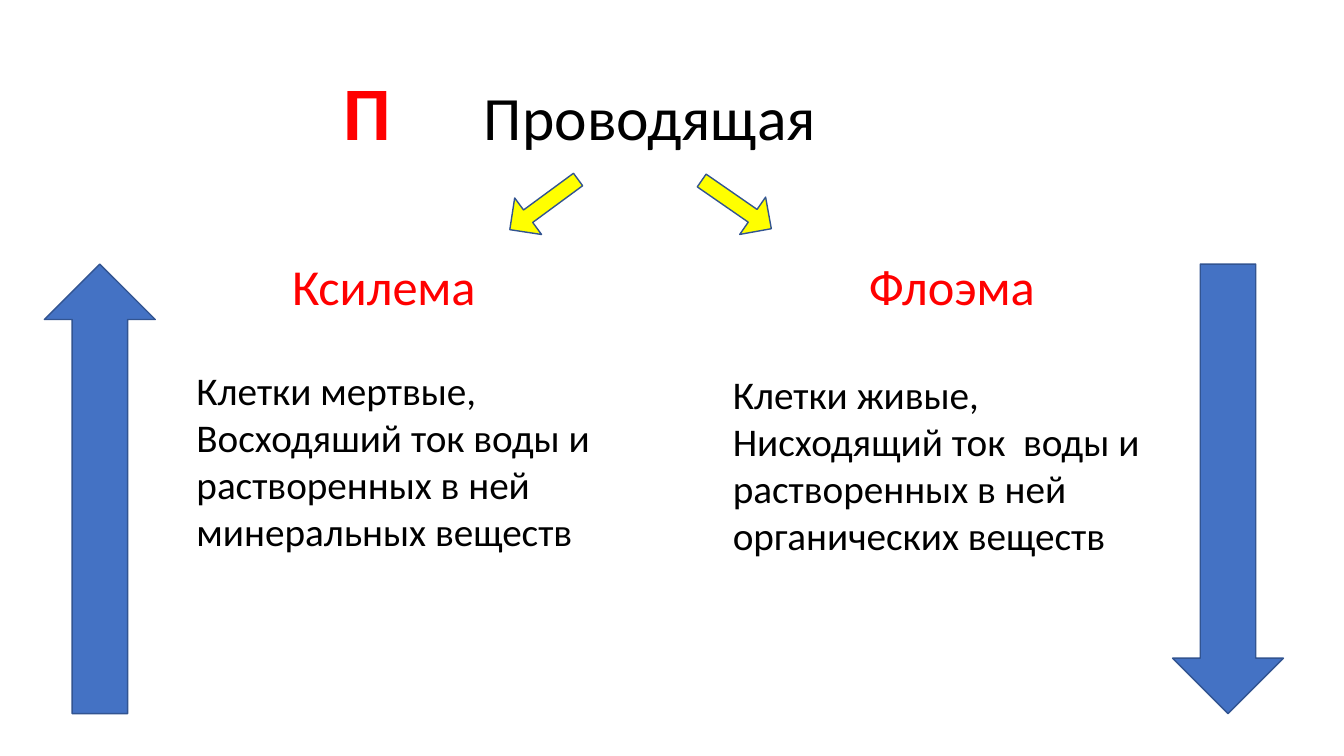
from lxml import etree
from pptx import Presentation
from pptx.dml.color import RGBColor
from pptx.enum import shapes, text
from pptx.oxml.ns import qn
from pptx.util import Inches, Pt

RED = RGBColor(0xFF, 0x00, 0x00)
BLACK = RGBColor(0x00, 0x00, 0x00)
YELLOW = RGBColor(0xFF, 0xFF, 0x00)
BLUE = RGBColor(0x44, 0x72, 0xC4)
OUTLINE = RGBColor(0x32, 0x54, 0x91)


def style(font, size, color, bold=False):
    font.name = "Calibri"
    font.size = Pt(size)
    font.color.rgb = color
    font.bold = bold


prs = Presentation()
prs.slide_width = Inches(13.33)
prs.slide_height = Inches(7.5)
slide = prs.slides.add_slide(prs.slide_layouts[5])

# Heading: a tab stop separates the initial from the tissue name
heading = slide.shapes.title
heading.left, heading.top = Inches(3.31), Inches(0.59)
heading.width, heading.height = Inches(5.21), Inches(1.01)
frame = heading.text_frame
frame.word_wrap = True
frame.auto_size = text.MSO_AUTO_SIZE.NONE
frame.vertical_anchor = text.MSO_ANCHOR.TOP
line = frame.paragraphs[0]
line.alignment = text.PP_ALIGN.LEFT
tabs = etree.SubElement(line._p.get_or_add_pPr(), qn("a:tabLst"))
etree.SubElement(tabs, qn("a:tab"), pos=str(Inches(1.39)), algn="l")
for words, size, color, bold in [("П", 54, RED, True),
                                 ("\tПроводящая", 44, BLACK, False)]:
    run = line.add_run()
    run.text = words
    style(run.font, size, color, bold)

# Tissue names and their descriptions
for words, left, top, width, height, size, color in [
    ("Ксилема", 2.8, 2.48, 2.8, 0.71, 36, RED),
    ("Флоэма", 8.52, 2.48, 2.8, 0.71, 36, RED),
    ("Клетки мертвые, Восходяший ток воды и растворенных в ней "
     "минеральных веществ", 1.85, 3.58, 4.32, 1.99, 28, BLACK),
    ("Клетки живые, Нисходящий ток  воды и растворенных в ней "
     "органических веществ", 7.17, 3.62, 4.32, 1.99, 28, BLACK),
]:
    label = slide.shapes.add_textbox(
        Inches(left), Inches(top), Inches(width), Inches(height))
    label.text_frame.word_wrap = True
    label.text_frame.text = words
    style(label.text_frame.paragraphs[0].runs[0].font, size, color)

# Branch arrows under the heading, flow arrows at the sides
for left, top, width, height, rotation, shaft, color in [
    (5.17, 1.61, 0.45, 0.84, 53.7, 0.342, YELLOW),
    (7.08, 1.61, 0.45, 0.84, 304.7, 0.342, YELLOW),
    (0.44, 2.62, 1.1, 4.46, 180, 0.5, BLUE),
    (11.63, 2.62, 1.1, 4.46, 0, 0.5, BLUE),
]:
    arrow = slide.shapes.add_shape(
        shapes.MSO_SHAPE.DOWN_ARROW,
        Inches(left), Inches(top), Inches(width), Inches(height))
    arrow.rotation = rotation
    arrow.adjustments[0] = shaft
    arrow.shadow.inherit = False
    arrow.fill.solid()
    arrow.fill.fore_color.rgb = color
    arrow.line.color.rgb = OUTLINE
    arrow.line.width = Pt(1)

prs.save("out.pptx")
